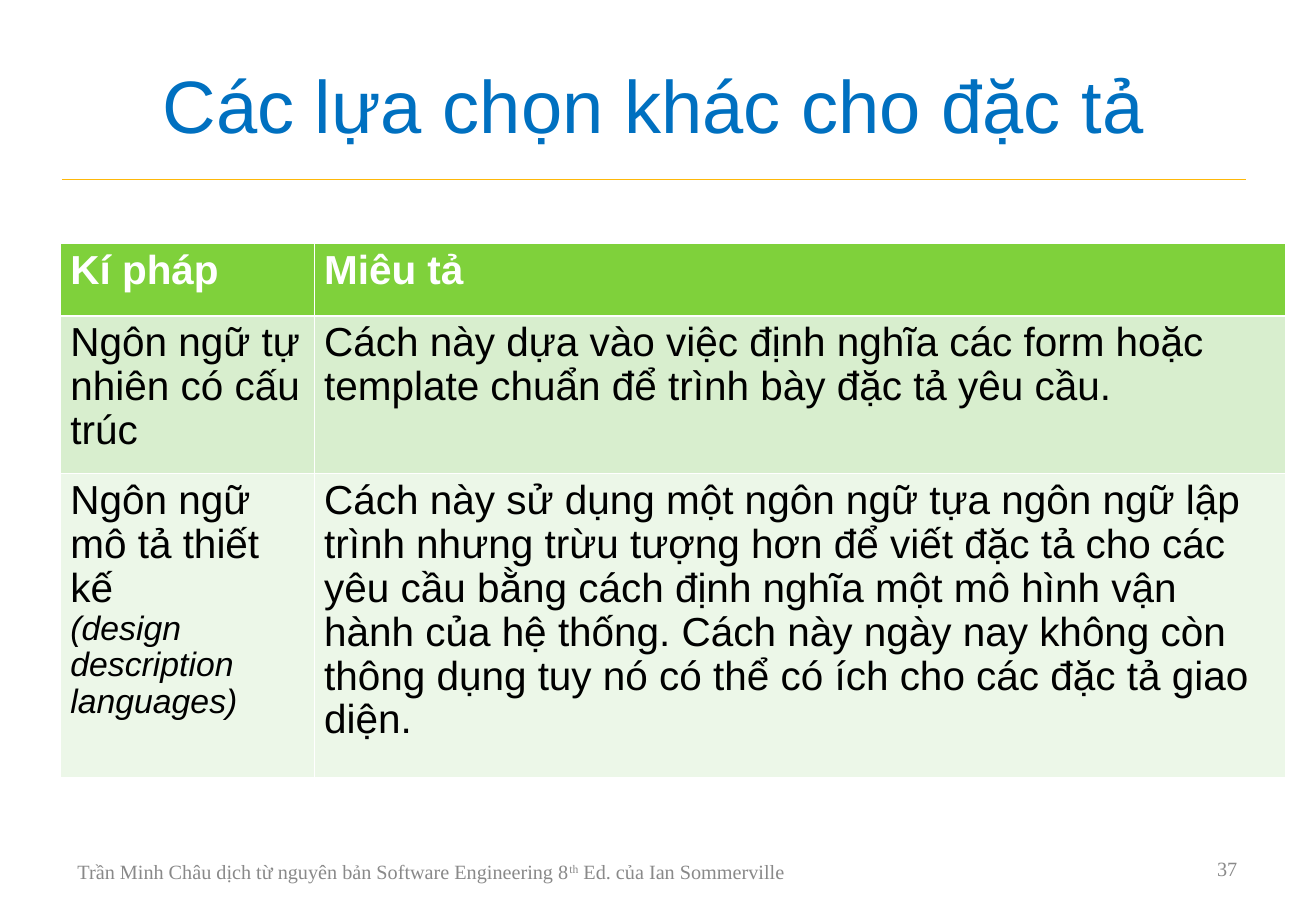
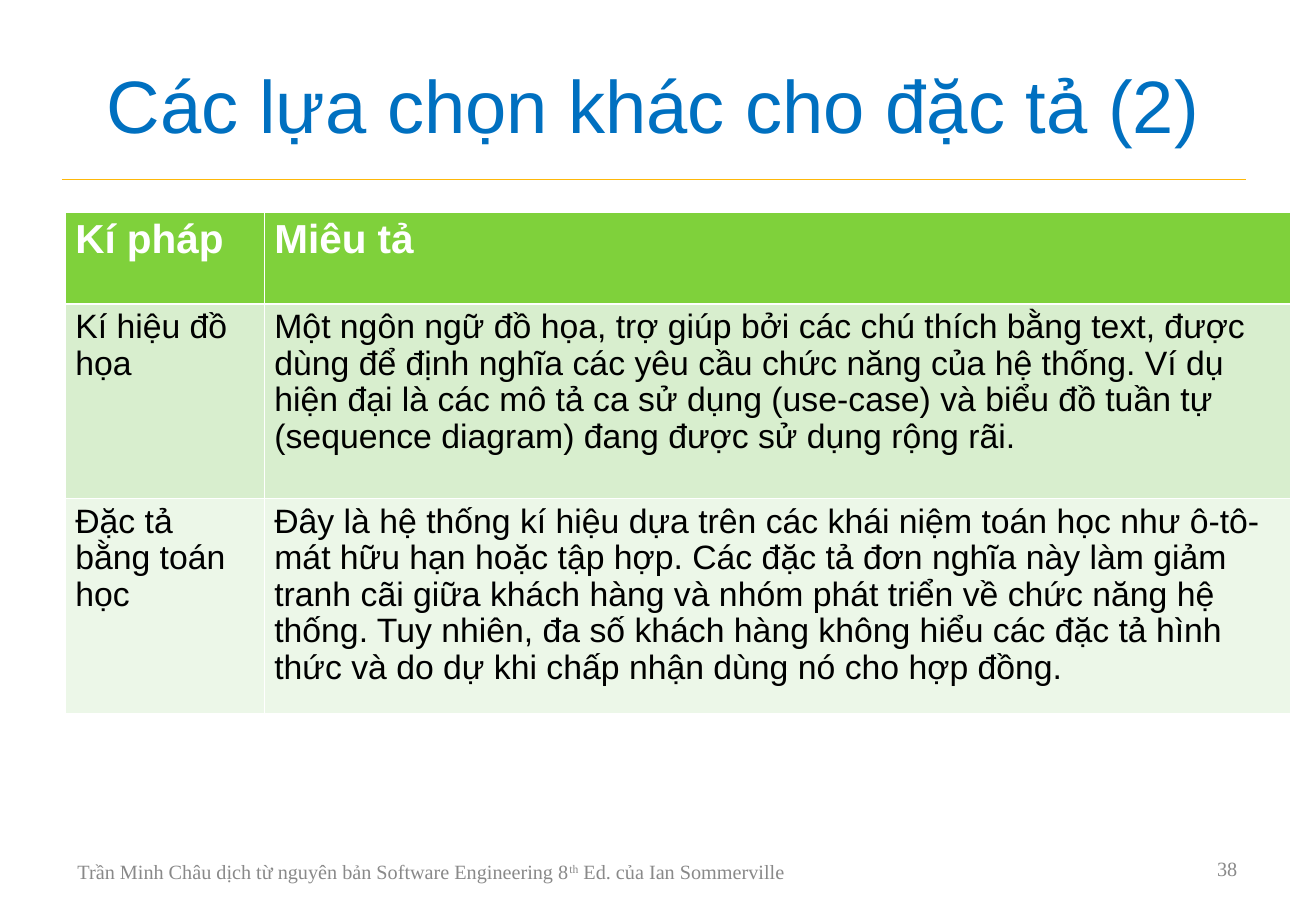
from lxml import etree
from pptx import Presentation
from pptx.dml.color import RGBColor
from pptx.enum.shapes import MSO_CONNECTOR
from pptx.enum.text import MSO_ANCHOR, PP_ALIGN
from pptx.oxml.ns import qn
from pptx.util import Inches, Pt

LEFT, CENTER, RIGHT = PP_ALIGN.LEFT, PP_ALIGN.CENTER, PP_ALIGN.RIGHT
TOP, MIDDLE = MSO_ANCHOR.TOP, MSO_ANCHOR.MIDDLE
STRAIGHT = MSO_CONNECTOR.STRAIGHT

BLUE = RGBColor(0x00, 0x70, 0xC0)
GOLD = RGBColor(0xFE, 0xB8, 0x0A)
GRAY = RGBColor(0x89, 0x89, 0x89)
WHITE = RGBColor(0xFF, 0xFF, 0xFF)
BLACK = RGBColor(0x00, 0x00, 0x00)
GREEN = RGBColor(0x7F, 0xD1, 0x3B)
MINT = RGBColor(0xD8, 0xEE, 0xCE)
PALE = RGBColor(0xEC, 0xF7, 0xE8)

SANS, SERIF = "Arial", "Times New Roman"
CELL = Inches(0.25)
THIN, THICK = Pt(0.45), Pt(1.47)
HEAD_BOX = (2.04, 0.92, 39, 5)
FOOT_BOX = (2.16, 27.8, 39, 1.6)
HEADS = ("Kí pháp", "Miêu tả")
NOTE = ["Trần Minh Châu dịch từ nguyên bản Software Engineering 8",
        ("th", {"raised": True}), " Ed. của Ian Sommerville"]

SLIDES = [
    dict(title="Các lựa chọn khác cho đặc tả", num=37, size=24,
         place=(2, 8), cols=(8.36, 32), rows=(2.4, 5.2, 10),
         body=[
             (["Ngôn ngữ tự nhiên có cấu trúc"],
              ["Cách này dựa vào việc định nghĩa các form hoặc template "
               "chuẩn để trình bày đặc tả yêu cầu."]),
             (["Ngôn ngữ mô tả thiết kế",
               [("(design description languages)",
                 {"size": 20, "italic": True})]],
              ["Cách này sử dụng một ngôn ngữ tựa ngôn ngữ lập trình nhưng "
               "trừu tượng hơn để viết đặc tả cho các yêu cầu bằng cách định "
               "nghĩa một mô hình vận hành của hệ thống. Cách này ngày nay "
               "không còn thông dụng tuy nó có thể có ích cho các đặc tả "
               "giao diện."]),
         ]),
    dict(title="Các lựa chọn khác cho đặc tả (2)", num=38, size=20,
         place=(2.16, 7), cols=(6.56, 33.8), rows=(3, 6.4, 7.08),
         body=[
             (["Kí hiệu đồ họa"],
              ["Một ngôn ngữ đồ họa, trợ giúp bởi các chú thích bằng text, "
               "được dùng để định nghĩa các yêu cầu chức năng của hệ thống. "
               "Ví dụ hiện đại là các mô tả ca sử dụng (use-case) và biểu đồ "
               "tuần tự (sequence diagram) đang được sử dụng rộng rãi."]),
             (["Đặc tả bằng toán học"],
              ["Đây là hệ thống kí hiệu dựa trên các khái niệm toán học như "
               "ô-tô-mát hữu hạn hoặc tập hợp. Các đặc tả đơn nghĩa này làm "
               "giảm tranh cãi giữa khách hàng và nhóm phát triển về chức "
               "năng hệ thống. Tuy nhiên, đa số khách hàng không hiểu các đặc "
               "tả hình thức và do dự khi chấp nhận dùng nó cho hợp đồng."]),
         ]),
]


def grid(*units):
    return [round(unit * CELL) for unit in units]


def write(frame, paras, size=24, color=BLACK, font=SANS, bold=False,
          align=LEFT, anchor=TOP, space=None):
    frame.word_wrap = True
    frame.vertical_anchor = anchor
    for index, para in enumerate(paras):
        line = frame.add_paragraph() if index else frame.paragraphs[0]
        line.alignment = align
        line.line_spacing = space
        for part in [para] if isinstance(para, str) else para:
            words, look = (part, {}) if isinstance(part, str) else part
            run = line.add_run()
            run.text = words
            run.font.name = font
            run.font.size = Pt(look.get("size", size))
            run.font.bold = bold
            run.font.italic = look.get("italic", False)
            run.font.color.rgb = color
            if look.get("raised"):
                run.font._element.set("baseline", "30000")


def label(slide, box, paras, **look):
    shape = slide.shapes.add_textbox(*grid(*box))
    write(shape.text_frame, paras, anchor=MIDDLE, **look)


def header(slide, box, title):
    left, top, width, height = box
    rule = slide.shapes.add_connector(
        STRAIGHT, *grid(left, top + height, left + width, top + height))
    rule.line.color.rgb = GOLD
    rule.line.width = Pt(0.75)
    etree.SubElement(rule._element.spPr, qn("a:effectLst"))
    label(slide, box, [title], size=44, color=BLUE, align=CENTER)


def footer(slide, box, num):
    left, top, width, height = box
    look = dict(size=12, color=GRAY, font=SERIF)
    label(slide, (left, top + 0.2, width * 0.68, height - 0.2),
          [NOTE], **look)
    label(slide, (left + width * 0.74, top, width * 0.26, height),
          [str(num)], align=RIGHT, **look)


def border(cell, **widths):
    props = cell._tc.get_or_add_tcPr()
    for side in "LRTB":
        line = etree.SubElement(props, qn("a:ln" + side),
                                w=str(int(widths.get(side, THIN))))
        fill = etree.SubElement(line, qn("a:solidFill"))
        etree.SubElement(fill, qn("a:srgbClr"), val=str(WHITE))


def matrix(slide, place, cols, rows, body, size):
    box = grid(*place, sum(cols), sum(rows))
    table = slide.shapes.add_table(len(rows), len(cols), *box).table
    table.first_row = table.horz_banding = False
    for column, width in zip(table.columns, grid(*cols)):
        column.width = width
    for row, height in zip(table.rows, grid(*rows)):
        row.height = height
    top = dict(size=24, color=WHITE, bold=True)
    base = dict(size=size)
    looks = [(GREEN, {"B": THICK}, top), (MINT, {"T": THICK}, base),
             (PALE, {}, base)]
    texts = [[[head] for head in HEADS], *body]
    for row, line, (fill, edges, look) in zip(table.rows, texts, looks):
        for cell, paras in zip(row.cells, line):
            border(cell, **edges)
            cell.fill.solid()
            cell.fill.fore_color.rgb = fill
            cell.margin_left = cell.margin_right = Inches(0.08)
            cell.margin_top = cell.margin_bottom = Inches(0.05)
            write(cell.text_frame, paras, space=0.97, **look)


def build(deck, title, num, **table):
    slide = deck.slides.add_slide(deck.slide_layouts[6])
    header(slide, HEAD_BOX, title)
    matrix(slide, **table)
    footer(slide, FOOT_BOX, num)


def main():
    deck = Presentation()
    deck.slide_width, deck.slide_height = Inches(10.84), Inches(7.5)
    for page in SLIDES:
        build(deck, **page)
    deck.save("out.pptx")


if __name__ == "__main__":
    main()
